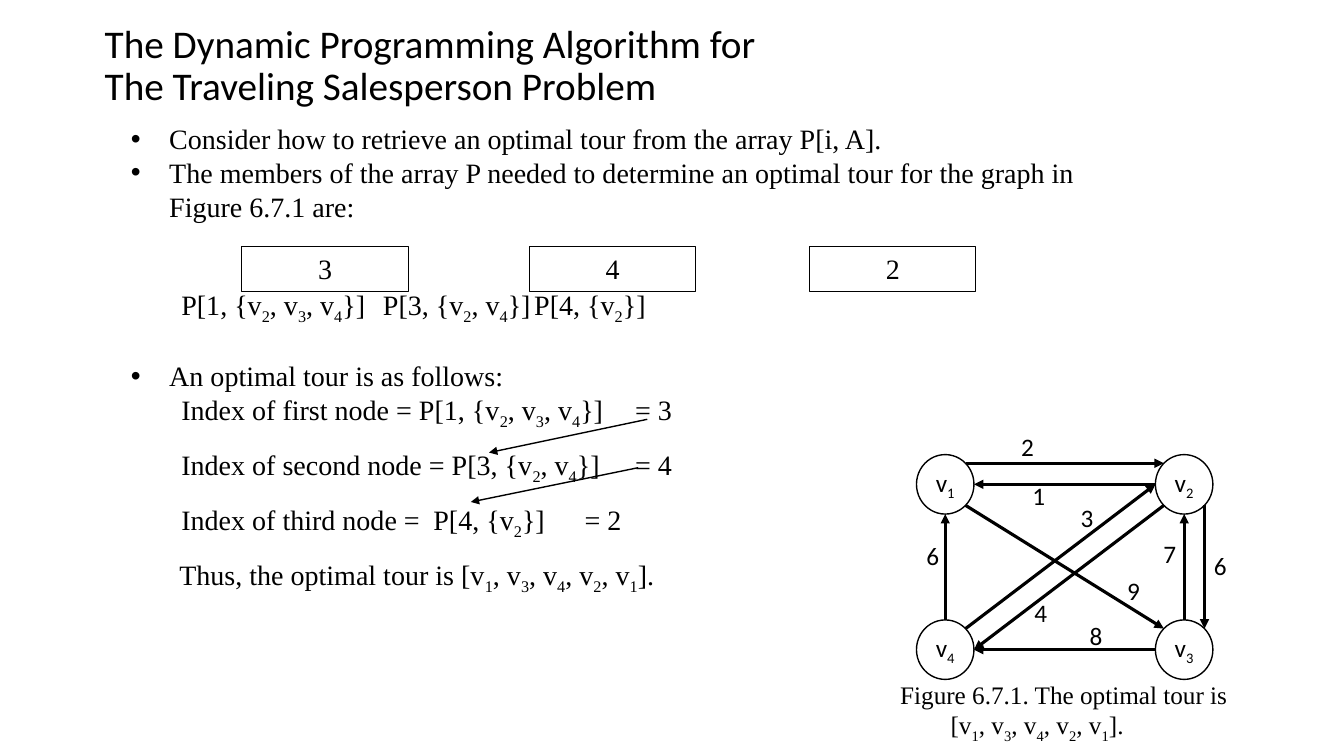
from pptx import Presentation, util as u
from pptx.dml.color import RGBColor
from pptx.enum import shapes as sh, text as tx
from pptx.oxml.ns import qn
from lxml import etree

BLACK = RGBColor(0, 0, 0)
WHITE = RGBColor(255, 255, 255)
SERIF, SANS = "Times New Roman", "Calibri"
CELL = u.Inches(0.1)  # grid of 133.33 columns by 75 rows

deck = Presentation()
deck.slide_width, deck.slide_height = u.Inches(13.33), u.Inches(7.5)
slide = deck.slides.add_slide(deck.slide_layouts[6])
items = slide.shapes


def write(frame, words, size=20, font=SERIF, align=None, left=0, hang=0,
          bullet=None, tabs=(), before=0, after=0, lead=None, more=False):
    """Add a paragraph; "_" lowers the next character, a newline breaks the line."""
    par = frame.add_paragraph() if more else frame.paragraphs[0]
    par.alignment, par.line_spacing = align, lead
    par.space_before, par.space_after = u.Pt(before), u.Pt(after)
    props = par._p.get_or_add_pPr()
    props.set("marL", str(int(left * CELL)))
    props.set("indent", str(int(-hang * CELL)))
    if bullet:
        etree.SubElement(props, qn("a:buFont")).set("typeface", "Arial")
        etree.SubElement(props, qn("a:buChar")).set("char", bullet)
    if tabs:
        stops = etree.SubElement(props, qn("a:tabLst"))
        for tab in tabs:
            stop = etree.SubElement(stops, qn("a:tab"))
            stop.set("pos", str(int(tab * CELL)))
            stop.set("algn", "l")
    for row, line in enumerate(words.split("\n")):
        if row:
            par.add_line_break()
        first, *rest = line.split("_")
        parts = [(first, False)]
        for bit in rest:
            parts += [(bit[0], True), (bit[1:], False)]
        for part, low in parts:
            if part:
                run = par.add_run()
                run.text = part
                run.font.size, run.font.name = u.Pt(size), font
                run.font.color.rgb = BLACK
                if low:
                    run.font._element.set("baseline", "-25000")


def arrow(start, end, width):
    line = items.add_connector(sh.MSO_CONNECTOR.STRAIGHT,
                               *[int(n * CELL) for n in (*start, *end)])
    line.line.color.rgb, line.line.width = BLACK, u.Pt(width)
    tip = etree.SubElement(line.line._get_or_add_ln(), qn("a:tailEnd"))
    tip.set("type", "triangle")
    etree.SubElement(line._element.spPr, qn("a:effectLst"))


# Plain text: title, body, caption
frames = []
for area in [(9.4, 1.9, 92.5, 11.2), (12, 11.6, 102.5, 53.2), (88.3, 66.9, 35.7, 7.1)]:
    frame = items.add_textbox(*[int(n * CELL) for n in area]).text_frame
    frame.word_wrap = True
    frames.append(frame)
title, body, note = frames

write(title, "The Dynamic Programming Algorithm for\nThe Traveling Salesperson Problem",
      size=28, font=SANS, lead=0.9)
write(note, "Figure 6.7.1. The optimal tour is\n\t[v_1, v_3, v_4, v_2, v_1].",
      size=18, tabs=[10])

point = dict(left=3.8, hang=3.8, bullet="•")
step = dict(left=5, after=12, more=True)
write(body, "Consider how to retrieve an optimal tour from the array P[i, A].", **point)
write(body, "The members of the array P needed to determine an optimal tour "
      "for the graph in Figure 6.7.1 are:", more=True, **point)
write(body, "\tP[1, {v_2, v_3, v_4}]\tP[3, {v_2, v_4}]\tP[4, {v_2}]",
      tabs=[10, 40, 70.7], before=46, more=True)
write(body, "An optimal tour is as follows:", before=24, more=True, **point)
write(body, "Index of first node = P[1, {v_2, v_3, v_4}]\t= 3", tabs=[48.2], **step)
write(body, "Index of second node = P[3, {v_2, v_4}]\t= 4", tabs=[47.9], **step)
write(body, "Index of third node =\tP[4, {v_2}]\t= 2", tabs=[35, 47.4], **step)
write(body, "Thus, the optimal tour is [v_1, v_3, v_4, v_2, v_1].", left=4.8, more=True)

# Graph nodes
WIDE, HIGH = 5.7, 5.9
nodes = {1: (93.75, 48.05), 2: (117.45, 48.05), 4: (93.75, 64.45), 3: (117.45, 64.45)}
for name, (x, y) in nodes.items():
    area = (x - WIDE / 2, y - HIGH / 2, WIDE, HIGH)
    node = items.add_shape(sh.MSO_SHAPE.OVAL, *[int(n * CELL) for n in area])
    node.shadow.inherit = False
    node.fill.solid()
    node.fill.fore_color.rgb = WHITE
    node.line.color.rgb, node.line.width = BLACK, u.Pt(1)
    node.text_frame.vertical_anchor = tx.MSO_ANCHOR.MIDDLE
    node.text_frame.word_wrap = False
    write(node.text_frame, f"v_{name}", size=18, font=SANS, align=tx.PP_ALIGN.CENTER)

# Graph edges: from node and side, to node and side, weight and its place
D = 0.707
sides = {"n": (0, -1), "s": (0, 1), "w": (-1, 0), "e": (1, 0),
         "nw": (-D, -D), "ne": (D, -D), "sw": (-D, D), "se": (D, D)}
edges = [
    (1, "ne", 2, "nw", "2", 100.3, 42.3),
    (2, "w", 1, "e", "1", 101.4, 47.2),
    (4, "n", 1, "s", "6", 90.9, 53.1),
    (4, "ne", 2, "w", "3", 106.2, 49.3),
    (2, "sw", 4, "e", "4", 101.6, 58.8),
    (3, "n", 2, "s", "7", 114.4, 52.9),
    (2, "se", 3, "ne", "6", 119.4, 54.1),
    (3, "w", 4, "e", "8", 107.1, 61.1),
    (1, "se", 3, "nw", "9", 110.8, 56.6),
]
for a, out, b, into, cost, x, y in edges:
    ends = [(nodes[n][0] + sides[s][0] * WIDE / 2, nodes[n][1] + sides[s][1] * HIGH / 2)
            for n, s in ((a, out), (b, into))]
    arrow(*ends, 2.25)
    label = items.add_textbox(*[int(n * CELL) for n in (x, y, WIDE, 4)]).text_frame
    label.word_wrap = True
    write(label, cost, size=18, font=SANS)

# Array members
for value, x in (("3", 24), ("4", 52.5), ("2", 80.3)):
    area = (x, 24.5, 16.5, 4.4)
    box = items.add_shape(sh.MSO_SHAPE.RECTANGLE, *[int(n * CELL) for n in area])
    box.shadow.inherit = False
    box.fill.background()
    box.line.color.rgb, box.line.width = BLACK, u.Pt(0.75)
    box.text_frame.vertical_anchor = tx.MSO_ANCHOR.TOP
    write(box.text_frame, value, align=tx.PP_ALIGN.CENTER)

# Links from each index to the next lookup
arrow((64.2, 41.6), (48.5, 44.9), 1)
arrow((63.3, 46.4), (46.7, 49.8), 1)

deck.save("out.pptx")
